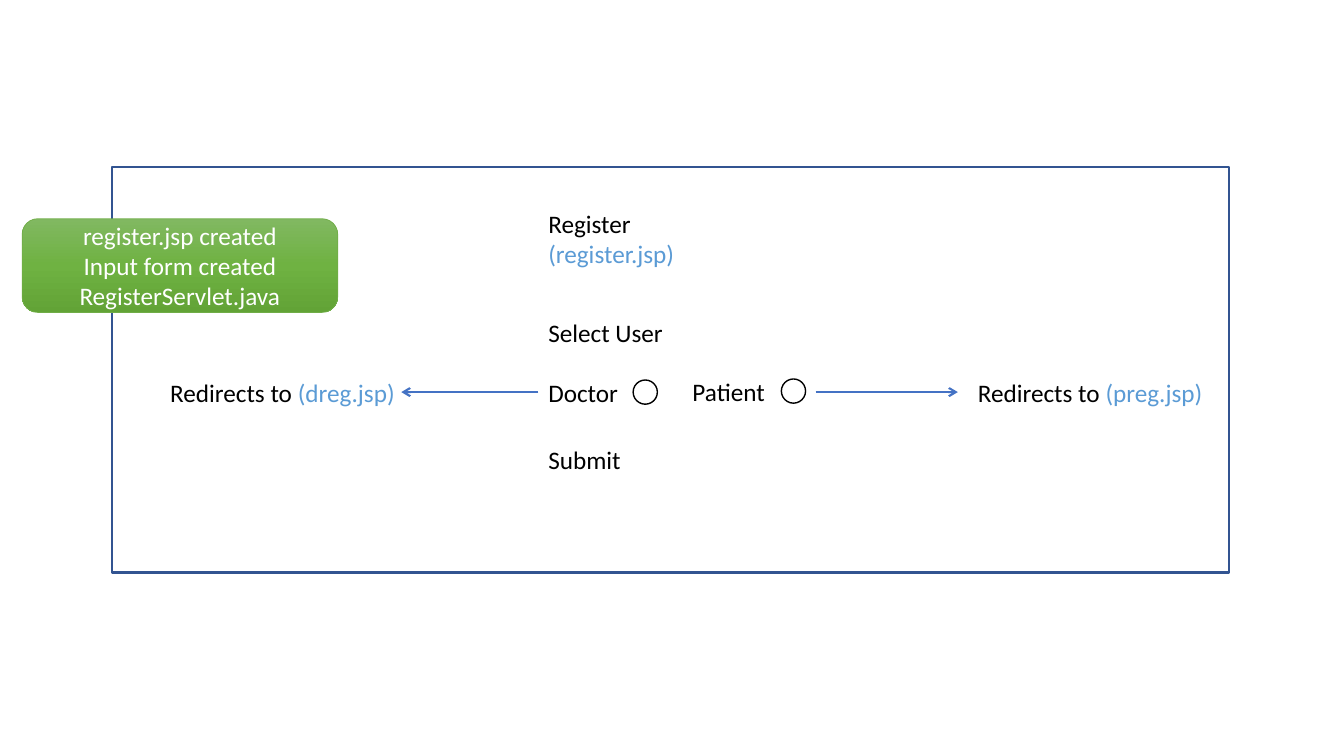
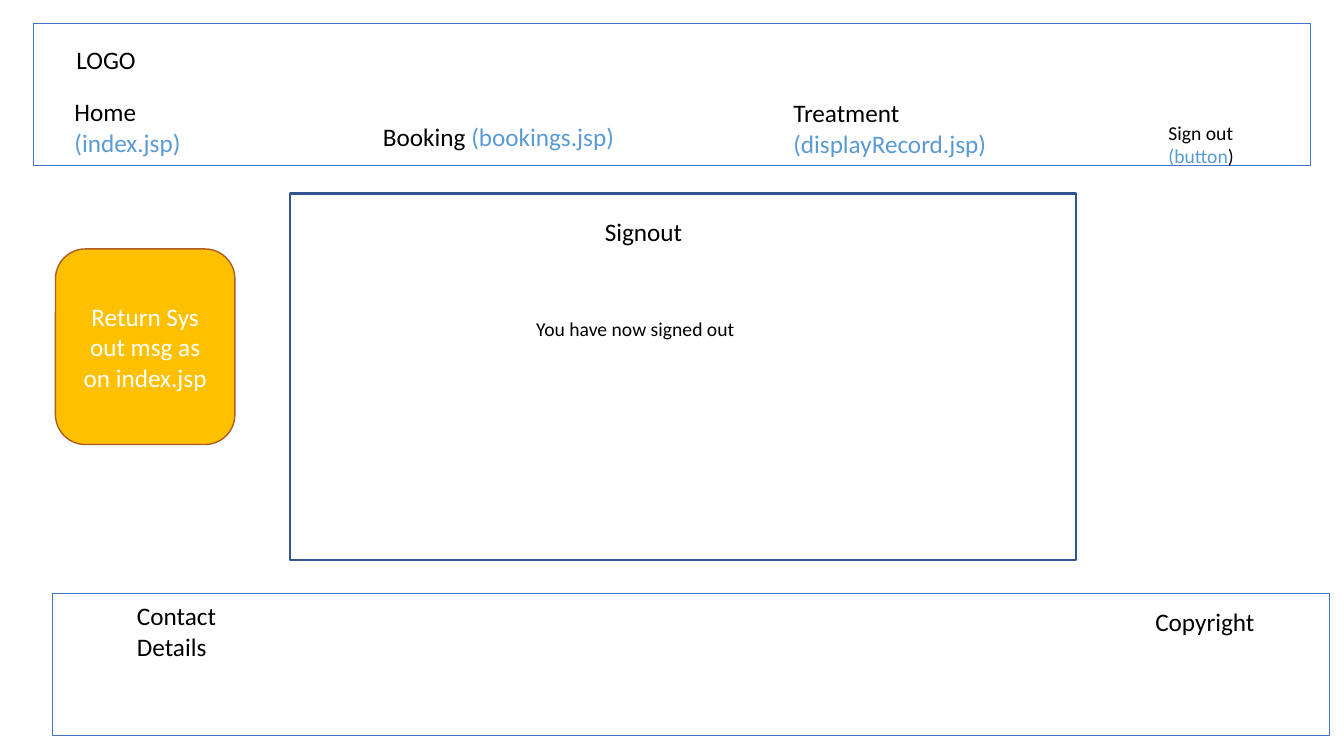
from copy import deepcopy

from lxml import etree
from pptx import Presentation
from pptx.dml.color import RGBColor
from pptx.enum.shapes import MSO_CONNECTOR, MSO_SHAPE
from pptx.enum.text import MSO_ANCHOR, MSO_AUTO_SIZE, PP_ALIGN
from pptx.oxml.ns import qn
from pptx.util import Inches, Pt

RECTANGLE = MSO_SHAPE.RECTANGLE
ROUNDED = MSO_SHAPE.ROUNDED_RECTANGLE
OVAL = MSO_SHAPE.OVAL
STRAIGHT = MSO_CONNECTOR.STRAIGHT
MIDDLE = MSO_ANCHOR.MIDDLE
CENTER = PP_ALIGN.CENTER
GROW = MSO_AUTO_SIZE.SHAPE_TO_FIT_TEXT

BLACK = RGBColor(0x00, 0x00, 0x00)
WHITE = RGBColor(0xFF, 0xFF, 0xFF)
FILE_BLUE = RGBColor(0x5B, 0x9B, 0xD5)
PANEL_BLUE = RGBColor(0x32, 0x54, 0x91)
BAND_BLUE = RGBColor(0x44, 0x72, 0xC4)
GREEN = RGBColor(0x70, 0xAD, 0x47)
GREEN_STOPS = (
    RGBColor(0x81, 0xB8, 0x61),
    RGBColor(0x6F, 0xB2, 0x42),
    RGBColor(0x62, 0xA3, 0x36),
)
AMBER = RGBColor(0xFF, 0xC0, 0x00)
RUST = RGBColor(0xAF, 0x5C, 0x24)

FONT = "Calibri"
BODY_SIZE = 18
SMALL_SIZE = 14
BAND_SIZE = (12.67, 1.41)
RADIO_SIZE = 0.24
ARROW_Y = 3.89


def style_run(run, color, size=BODY_SIZE):
    run.font.name = FONT
    run.font.size = Pt(size)
    run.font.color.rgb = color


def add_label(slide, left, top, width, *lines, size=BODY_SIZE):
    height = 0.4 * size / BODY_SIZE
    box = slide.shapes.add_textbox(*map(Inches, (left, top, width, height)))
    frame = box.text_frame
    frame.word_wrap = True
    frame.auto_size = GROW
    for index, line in enumerate(lines):
        paragraph = frame.add_paragraph() if index else frame.paragraphs[0]
        for text, color in line:
            run = paragraph.add_run()
            run.text = text
            style_run(run, color, size)
    return box


def add_outline(slide, kind, bounds, color, weight, fill=None):
    shape = slide.shapes.add_shape(kind, *map(Inches, bounds))
    shape.shadow.inherit = False
    shape.line.color.rgb = color
    shape.line.width = Pt(weight)
    if fill is None:
        shape.fill.background()
    else:
        shape.fill.solid()
        shape.fill.fore_color.rgb = fill
    return shape


def add_panel(slide, *bounds):
    return add_outline(slide, RECTANGLE, bounds, PANEL_BLUE, 1.5)


def add_band(slide, left, top):
    return add_outline(slide, RECTANGLE, (left, top, *BAND_SIZE), BAND_BLUE, 0.75)


def add_radio(slide, left, top):
    bounds = (left, top, RADIO_SIZE, RADIO_SIZE)
    return add_outline(slide, OVAL, bounds, BLACK, 1, WHITE)


def add_note(slide, bounds, text, fill, edge, weight):
    note = add_outline(slide, ROUNDED, bounds, edge, weight, fill)
    frame = note.text_frame
    frame.word_wrap = True
    frame.vertical_anchor = MIDDLE
    frame.text = text
    for paragraph in frame.paragraphs:
        paragraph.alignment = CENTER
        for run in paragraph.runs:
            style_run(run, WHITE)
    return note


def shade_downward(shape, colors):
    fill = shape.fill
    fill.gradient()
    fill.gradient_angle = 270
    stop_list = shape._element.spPr.find(".//" + qn("a:gsLst"))
    while len(stop_list) < len(colors):
        stop_list.append(deepcopy(stop_list[0]))
    for index, (stop, color) in enumerate(zip(fill.gradient_stops, colors)):
        stop.position = index / (len(colors) - 1)
        stop.color.rgb = color


def add_arrow(slide, start, end):
    arrow = slide.shapes.add_connector(
        STRAIGHT, Inches(start), Inches(ARROW_Y), Inches(end), Inches(ARROW_Y)
    )
    arrow.line.color.rgb = BAND_BLUE
    arrow.line.width = Pt(1.5)
    etree.SubElement(arrow.line._get_or_add_ln(), qn("a:tailEnd"), type="arrow")
    etree.SubElement(arrow._element.spPr, qn("a:effectLst"))


def build_register(slide):
    add_panel(slide, 1.11, 1.66, 11.08, 4.02)
    add_label(
        slide, 5.34, 2.02, 1.84,
        [("Register", BLACK)], [("(register.jsp)", FILE_BLUE)],
    )
    for text, left, top, width in (
        ("Select User", 5.34, 3.1, 1.53),
        ("Doctor", 5.34, 3.69, 0.94),
        ("Patient", 6.77, 3.68, 0.94),
        ("Submit", 5.34, 4.36, 1.53),
    ):
        add_label(slide, left, top, width, [(text, BLACK)])

    progress = add_note(
        slide, (0.22, 2.17, 3.13, 0.93),
        "register.jsp created\nInput form created\nRegisterServlet.java",
        GREEN, GREEN, 0.5,
    )
    shade_downward(progress, GREEN_STOPS)

    add_radio(slide, 6.28, 3.77)
    add_radio(slide, 7.75, 3.76)
    for page, left, width in (("(preg.jsp)", 9.6, 2.62), ("(dreg.jsp)", 1.59, 3.13)):
        add_label(
            slide, left, 3.69, width, [("Redirects to ", BLACK), (page, FILE_BLUE)]
        )
    add_arrow(slide, 5.34, 3.98)
    add_arrow(slide, 8.09, 9.5)


def build_signout(slide):
    add_panel(slide, 2.88, 1.92, 7.79, 3.64)
    add_band(slide, 0.33, 0.23)
    add_band(slide, 0.52, 5.89)

    for text, left, top, width in (
        ("LOGO", 0.66, 0.39, 1.86),
        ("Signout", 5.9, 2.1, 0.98),
        ("Contact Details", 1.26, 5.91, 1.39),
        ("Copyright", 11.36, 5.97, 1.39),
    ):
        add_label(slide, left, top, width, [(text, BLACK)])
    add_label(
        slide, 5.22, 3.09, 2.51, [("You have now signed out", BLACK)], size=SMALL_SIZE
    )

    for name, page, left, top, width in (
        ("Home ", "(index.jsp)", 0.64, 0.91, 1.9),
        ("Booking ", "(bookings.jsp)", 3.7, 1.15, 3.24),
        ("Treatment ", "(displayRecord.jsp)", 7.77, 0.92, 3.13),
    ):
        add_label(slide, left, top, width, [(name, BLACK), (page, FILE_BLUE)])
    add_label(
        slide, 11.49, 1.15, 1.17,
        [("Sign out ", BLACK), ("(button", FILE_BLUE), (")", BLACK)],
        size=SMALL_SIZE,
    )

    add_note(
        slide, (0.55, 2.47, 1.78, 1.94),
        "Return Sys out msg as on index.jsp", AMBER, RUST, 1,
    )


def main():
    deck = Presentation()
    deck.slide_width = Inches(13.33)
    deck.slide_height = Inches(7.5)
    blank = deck.slide_layouts[6]
    for build in (build_register, build_signout):
        build(deck.slides.add_slide(blank))
    deck.save("out.pptx")


if __name__ == "__main__":
    main()
